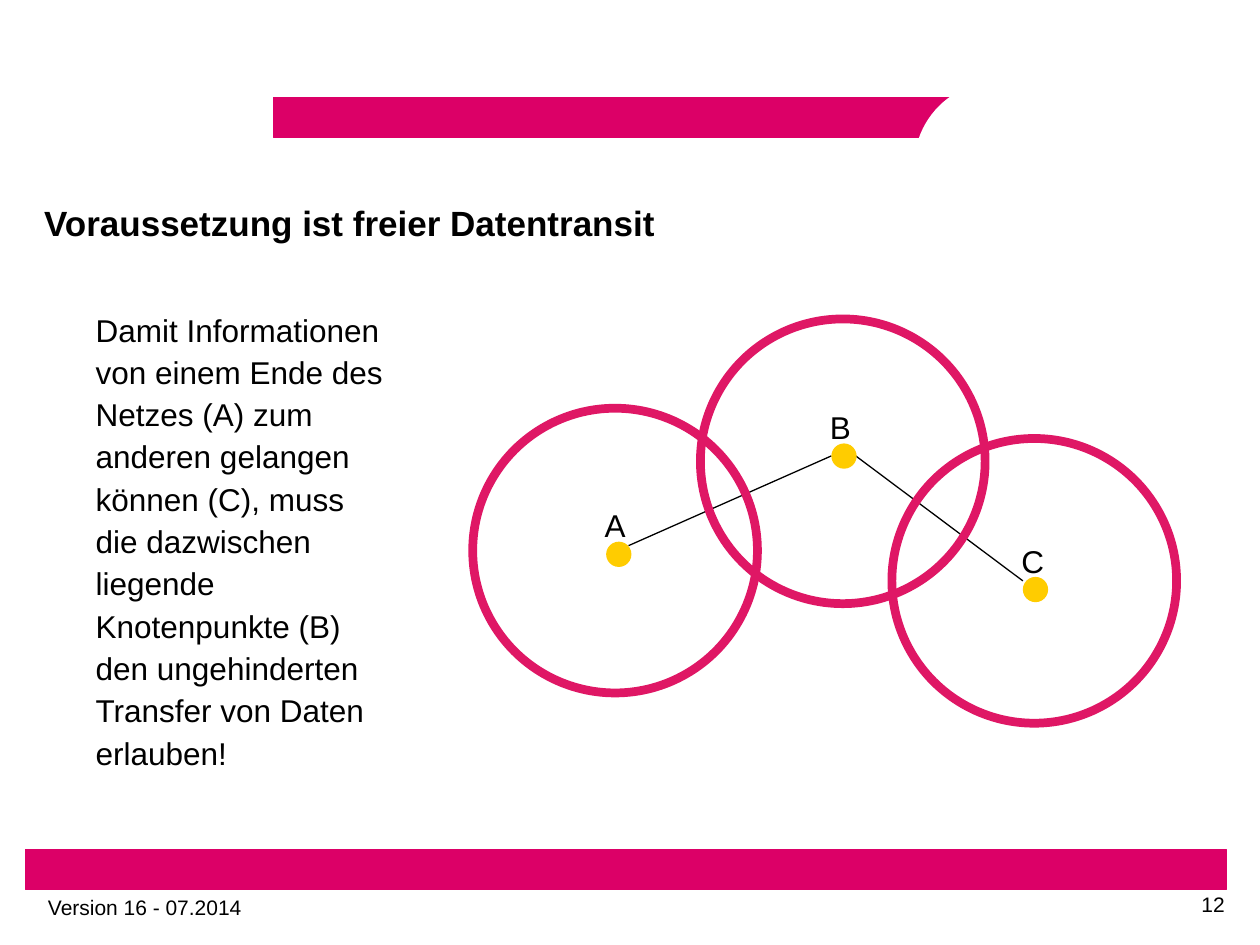
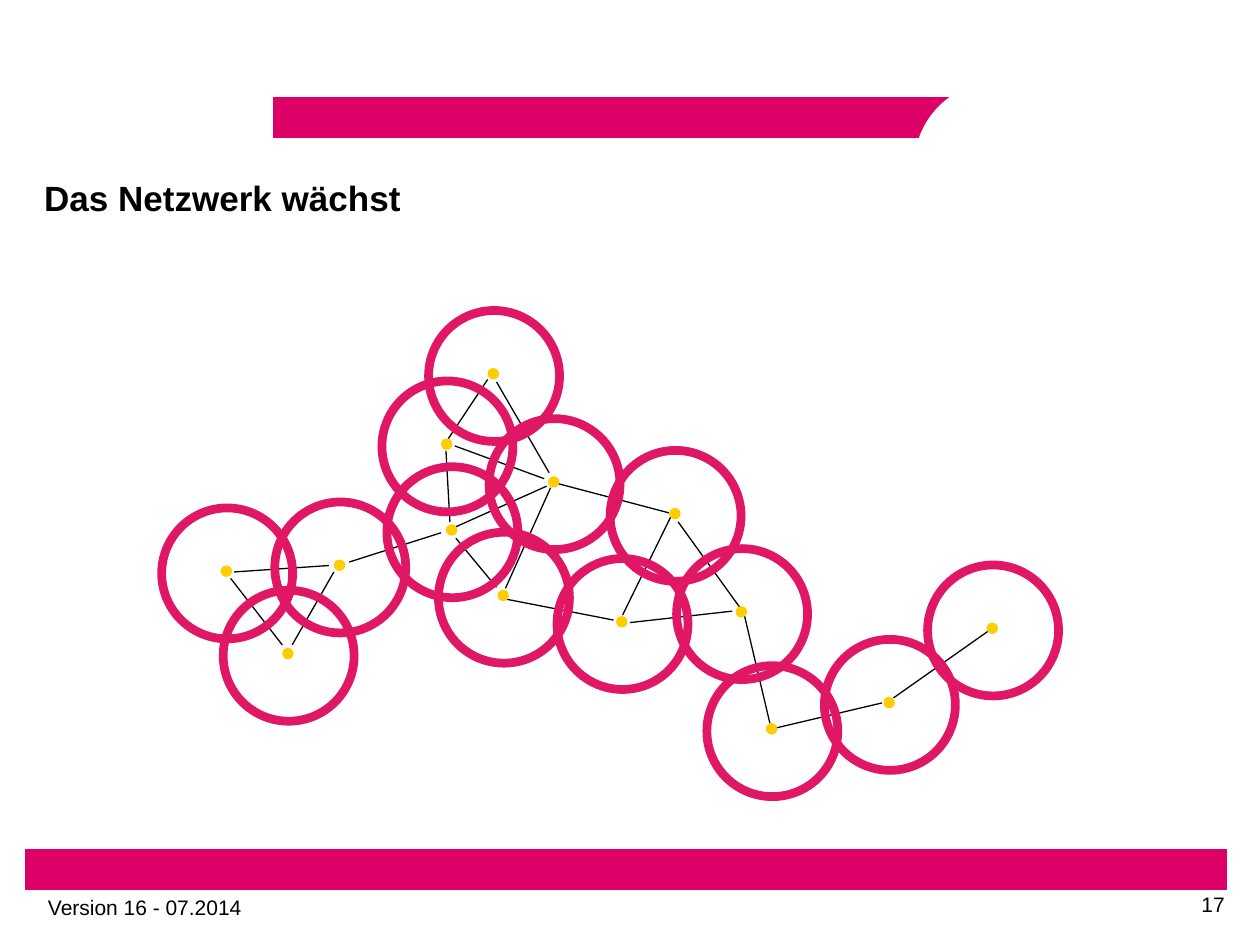
from pptx import Presentation
from pptx import util as u
from pptx.dml.color import RGBColor
from pptx.enum import shapes, text
from pptx.oxml.ns import qn
from lxml import etree

# Content: all lengths in cm
FONT = "Arial"
BAND, RING, DOT, WHITE, BLACK = "DC0067", "DF1765", "FFCC00", "FFFFFF", "000000"
BANDS = [(5.51, 1.96, 14.17, 0.81), (0.51, 17.12, 24.21, 0.81)]
CURVE = (18.44, 1.65, 3.4, 3.4)
VERSION = "Version 16 - 07.2014"
LEADING = 1.12

TRANSIT = {
    "title": "Voraussetzung ist freier Datentransit",
    "top": 3.96,
    "page": "12",
    "body": "Damit Informationen von einem Ende des Netzes (A) zum anderen "
            "gelangen können (C), muss die dazwischen liegende Knotenpunkte (B) "
            "den ungehinderten Transfer von Daten erlauben!",
    "ring": 5.74,
    "dot": 0.51,
    # label, dot corner, ring corner
    "nodes": [
        ("A", (12.22, 10.92), (9.53, 8.23)),
        ("B", (16.76, 8.94), (14.12, 6.43)),
        ("C", (20.62, 11.63), (17.98, 8.84)),
    ],
    "links": [(12.67, 11, 16.76, 9.19), (17.25, 9.19, 20.62, 11.71)],
}

DOTS = [
    (10.03, 11.89), (11.05, 9.6), (13.49, 10.24), (12.42, 12.42), (14.83, 12.22),
    (15.44, 14.58), (17.81, 14.05), (19.89, 12.55), (9.83, 7.42), (8.89, 8.84),
    (8.99, 10.57), (6.73, 11.28), (4.45, 11.4), (5.69, 13.06),
]
GROWTH = {
    "title": "Das Netzwerk wächst",
    "top": 3.45,
    "page": "17",
    "body": "",
    "ring": 2.64,
    "dot": 0.23,
    "nodes": [("", (x, y), (x - 1.19, y - 1.16)) for x, y in DOTS],
    "links": [
        (10.19, 11.86, 11.1, 9.83), (11.25, 9.75, 13.49, 10.34),
        (9.19, 10.62, 11.02, 9.8), (10.16, 12.07, 12.37, 12.5),
        (12.55, 12.4, 13.56, 10.34), (13.67, 10.52, 14.91, 12.24),
        (12.7, 12.55, 14.76, 12.32), (15.01, 12.42, 15.52, 14.58),
        (15.62, 14.68, 17.78, 14.17), (18.01, 14.07, 19.91, 12.73),
        (11.07, 9.53, 10.01, 7.7), (9.83, 7.65, 9.04, 8.84),
        (9.07, 10.52, 8.99, 9.09), (9.19, 10.85, 10.01, 11.84),
        (8.89, 10.74, 7.04, 11.33), (6.73, 11.53, 5.89, 13),
        (6.63, 11.4, 4.72, 11.53), (9.17, 8.99, 10.97, 9.65),
        (4.65, 11.66, 5.69, 13),
    ],
}


def color(code):
    return RGBColor.from_string(code)


def place(box):
    return [u.Cm(n) for n in box]


def draw(slide, kind, box, fill=None, line=None, width=0.75):
    shape = slide.shapes.add_shape(kind, *place(box))
    shape.shadow.inherit = False
    if fill:
        shape.fill.solid()
        shape.fill.fore_color.rgb = color(fill)
    else:
        shape.fill.background()
    if line:
        shape.line.color.rgb = color(line)
        shape.line.width = u.Pt(width)
    else:
        shape.line.fill.background()


def write(slide, words, box, size, bold=False, pad=(0, 0, 0, 0),
          align=text.PP_ALIGN.LEFT, anchor=text.MSO_ANCHOR.TOP, leading=1):
    """Add a wrapped text box; pad is left, top, right, bottom."""
    frame = slide.shapes.add_textbox(*place(box)).text_frame
    frame.word_wrap = True
    frame.vertical_anchor = anchor
    (frame.margin_left, frame.margin_top,
     frame.margin_right, frame.margin_bottom) = place(pad)
    frame.text = words
    para = frame.paragraphs[0]
    para.alignment = align
    para.line_spacing = leading
    font = para.runs[0].font
    font.name, font.size, font.bold = FONT, u.Pt(size), bold
    font.color.rgb = color(BLACK)


def join(slide, ends):
    line = slide.shapes.add_connector(shapes.MSO_CONNECTOR.STRAIGHT, *place(ends))
    line.line.color.rgb = color(BLACK)
    line.line.width = u.Pt(0.75)
    etree.SubElement(line._element.spPr, qn("a:effectLst"))


def frame_page(slide, page):
    """Draw the bands, title and footer that every slide has."""
    for band in BANDS:
        draw(slide, shapes.MSO_SHAPE.RECTANGLE, band, BAND, BAND)
    draw(slide, shapes.MSO_SHAPE.OVAL, CURVE, WHITE, WHITE)
    write(slide, page["title"], (0.89, page["top"], 16.79, 1.35), 20, True,
          (0, 0, 0.25, 0.13), leading=LEADING)
    write(slide, VERSION, (-1.04, 18.03, 7.92, 0.76), 12,
          align=text.PP_ALIGN.CENTER)
    write(slide, page["page"], (18.77, 17.98, 5.92, 1.32), 12,
          align=text.PP_ALIGN.RIGHT)


def draw_net(slide, page):
    ring, dot = page["ring"], page["dot"]
    for ends in page["links"]:
        join(slide, ends)
    for _, _, spot in page["nodes"]:
        draw(slide, shapes.MSO_SHAPE.OVAL, (*spot, ring, ring), line=RING, width=5)
    for label, (x, y), _ in page["nodes"]:
        draw(slide, shapes.MSO_SHAPE.OVAL, (x, y, dot, dot), DOT)
        if label:
            write(slide, label, (x - 0.28, y - 1.12, 0.89, 1.3), 18,
                  pad=(0.25, 0.13, 0.25, 0.13), anchor=text.MSO_ANCHOR.BOTTOM,
                  leading=LEADING)


def main():
    deck = Presentation()
    deck.slide_width, deck.slide_height = u.Cm(25.4), u.Cm(19.05)
    for page in (TRANSIT, GROWTH):
        slide = deck.slides.add_slide(deck.slide_layouts[6])
        frame_page(slide, page)
        if page["body"]:
            write(slide, page["body"], (1.93, 6.17, 6.15, 10.8), 18,
                  pad=(0, 0, 0.25, 0.13), leading=LEADING)
        draw_net(slide, page)
    deck.save("out.pptx")


if __name__ == "__main__":
    main()
